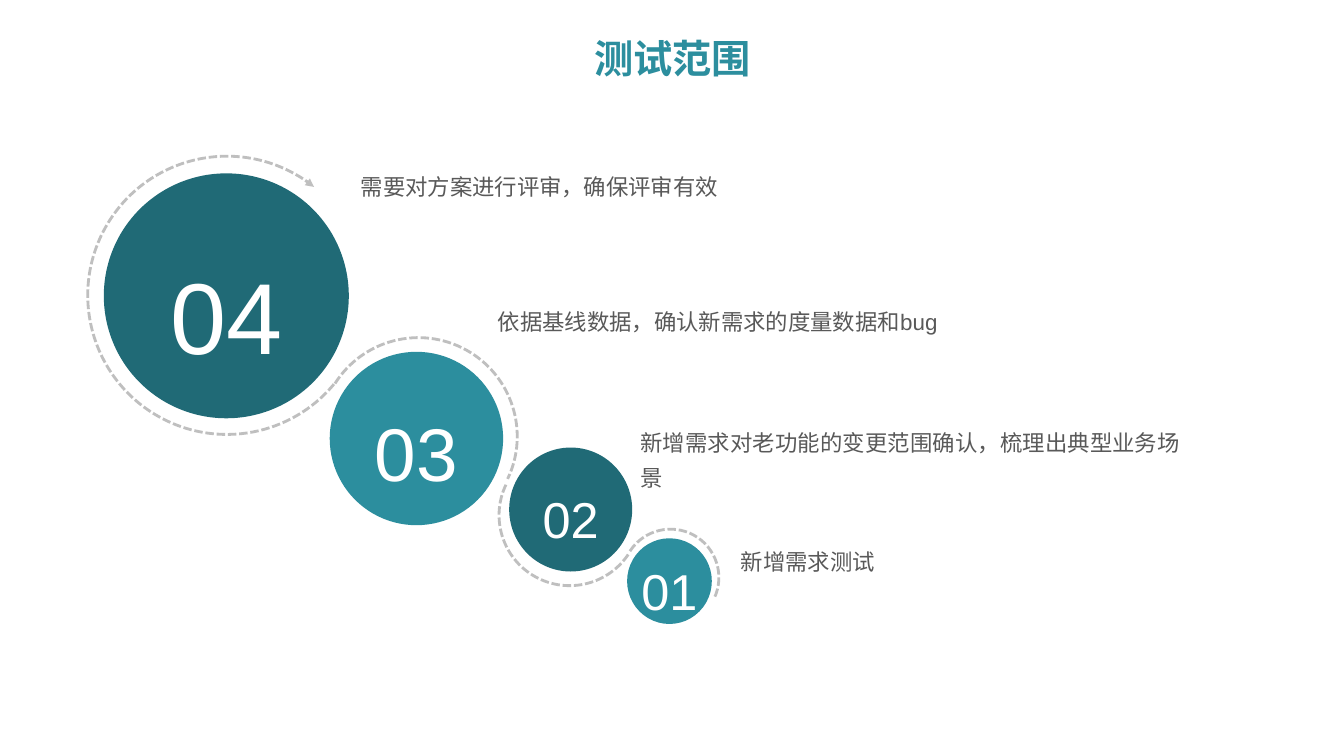
from dataclasses import dataclass
from math import ceil, cos, floor, radians, sin, tan

from lxml import etree
from pptx import Presentation
from pptx.dml.color import RGBColor
from pptx.enum.dml import MSO_LINE
from pptx.enum.shapes import MSO_SHAPE
from pptx.enum.text import MSO_ANCHOR, MSO_AUTO_SIZE, PP_ALIGN
from pptx.oxml.ns import qn
from pptx.util import Inches, Pt

OVAL, RECT = MSO_SHAPE.OVAL, MSO_SHAPE.RECTANGLE
DASH = MSO_LINE.SQUARE_DOT
MIDDLE, TOP = MSO_ANCHOR.MIDDLE, MSO_ANCHOR.TOP
CENTER, JUSTIFY = PP_ALIGN.CENTER, PP_ALIGN.JUSTIFY
GROW, FIXED = MSO_AUTO_SIZE.SHAPE_TO_FIT_TEXT, MSO_AUTO_SIZE.NONE

COLORS = {"dark": "206A76", "teal": "2C8E9E", "gray": "BFBFBF",
          "text": "595959", "white": "FFFFFF"}
TILT = 29.1  # rotation of every arc, in degrees
PANEL = (0, 0.98, 13.33, 6.52)

Box = tuple[float, float, float, float]
Point = tuple[float, float]


@dataclass
class Disc:
    label: str
    box: Box
    color: str
    size: float


@dataclass
class Arc:
    """A circle's part; angles are in degrees before the tilt."""
    center: Point
    radius: float
    start: float
    end: float
    arrow: bool = False


@dataclass
class Note:
    text: str
    box: Box


ARCS = [
    Arc((2.25, 2.93), 1.38, 10.6, 279.7, arrow=True),
    Arc((4.15, 4.33), 0.98, 183.3, 356.4),
    Arc((5.65, 5.11), 0.70, 176.4, 3.4),
    Arc((6.65, 5.73), 0.48, 183.9, 356.4),
]
DISCS = [
    Disc("04", (1.03, 1.72, 2.43, 2.43), "dark", 72),
    Disc("03", (3.27, 3.49, 1.72, 1.72), "teal", 53.3),
    Disc("02", (5.05, 4.44, 1.22, 1.23), "dark", 36),
    Disc("01", (6.22, 5.34, 0.84, 0.85), "teal", 36),
]
NOTES = [
    Note("需要对方案进行评审，确保评审有效", (3.48, 1.59, 6.12, 0.41)),
    Note("依据基线数据，确认新需求的度量数据和bug", (4.84, 2.93, 5.74, 0.45)),
    Note("新增需求对老功能的变更范围确认，梳理出典型业务场景", (6.25, 4.13, 5.56, 0.8)),
    Note("新增需求测试", (7.25, 5.31, 5.61, 0.45)),
]
FRAMES = {
    "disc": {"word_wrap": True, "vertical_anchor": MIDDLE, "margin_left": 0,
             "margin_top": 0, "margin_right": 0, "margin_bottom": 0},
    "note": {"word_wrap": True, "vertical_anchor": TOP, "auto_size": GROW},
    "title": {"word_wrap": True, "vertical_anchor": MIDDLE, "auto_size": FIXED},
}
LINES = {
    "disc": {"alignment": CENTER, "line_spacing": 1.3},
    "note": {"alignment": JUSTIFY, "line_spacing": 1.3},
    "title": {"alignment": CENTER, "line_spacing": 0.9},
}
FONTS = {
    "disc": {"name": "Arial"},
    "note": {"name": "Arial", "size": Pt(16)},
    "title": {"name": "Montserrat", "size": Pt(28), "bold": True},
}


def shade(name: str) -> RGBColor:
    return RGBColor.from_string(COLORS[name])


def assign(target, values: dict) -> None:
    for key, value in values.items():
        setattr(target, key, value)


def write(shape, text: str, style: str, color: str, **font) -> None:
    """Put one styled paragraph into a shape."""
    frame = shape.text_frame
    line = frame.paragraphs[0]
    run = line.add_run()
    run.text = text
    assign(frame, FRAMES[style])
    assign(line, LINES[style])
    assign(run.font, FONTS[style] | font)
    run.font.color.rgb = shade(color)


def add_solid(shapes, kind, box: Box, color: str):
    shape = shapes.add_shape(kind, *map(Inches, box))
    shape.shadow.inherit = False
    shape.fill.solid()
    shape.fill.fore_color.rgb = shade(color)
    shape.line.fill.background()
    return shape


def draw_panel(shapes) -> None:
    panel = add_solid(shapes, RECT, PANEL, "white")
    tone = panel.fill._xPr.find(".//" + qn("a:srgbClr"))
    etree.SubElement(tone, qn("a:alpha"), val="92000")


def get_knots(arc: Arc) -> list[float]:
    """Split an arc at each quarter turn; angles in radians."""
    low, high = sorted((arc.start, arc.end))
    turns = [90 * i for i in range(ceil(low / 90), floor(high / 90) + 1)]
    knots = sorted({low, *turns, high}, reverse=arc.start > arc.end)
    return [radians(knot) for knot in knots]


def bend(shape, knots: list[float], size: int, left: int, top: int) -> None:
    """Turn each straight segment into a circular curve."""
    lines = list(shape._element.iter(qn("a:lnTo")))
    for line, a, b in zip(lines, knots, knots[1:]):
        pull = 4 / 3 * tan((b - a) / 4)
        grips = [(cos(a) - pull * sin(a), sin(a) + pull * cos(a)),
                 (cos(b) + pull * sin(b), sin(b) - pull * cos(b))]
        line.tag = qn("a:cubicBezTo")
        for i, (x, y) in enumerate(grips):
            spot = line.makeelement(qn("a:pt"), {"x": str(round(size * x - left)),
                                                 "y": str(round(size * y - top))})
            line.insert(i, spot)


def draw_arc(shapes, arc: Arc):
    knots, size = get_knots(arc), Inches(arc.radius)
    points = [(round(size * cos(a)), round(size * sin(a))) for a in knots]
    pen = shapes.build_freeform(*points[0])
    pen.add_line_segments(points[1:], close=False)
    shape = pen.convert_to_shape()
    bend(shape, knots, size, shape.left, shape.top)

    x, y = shape.left + shape.width / 2, shape.top + shape.height / 2
    tilt = radians(TILT)
    mid_x = Inches(arc.center[0]) + x * cos(tilt) - y * sin(tilt)
    mid_y = Inches(arc.center[1]) + x * sin(tilt) + y * cos(tilt)
    assign(shape, {"left": round(mid_x - shape.width / 2),
                   "top": round(mid_y - shape.height / 2), "rotation": TILT})

    shape.shadow.inherit = False
    shape.fill.background()
    shape.line.color.rgb = shade("gray")
    assign(shape.line, {"width": Pt(2), "dash_style": DASH})
    if arc.arrow:
        line = shape.line._get_or_add_ln()
        etree.SubElement(line, qn("a:tailEnd"), type="triangle")
    return shape


def draw_disc(shapes, disc: Disc) -> None:
    shape = add_solid(shapes, OVAL, disc.box, disc.color)
    write(shape, disc.label, "disc", "white", size=Pt(disc.size))


def draw_note(shapes, note: Note, style: str = "note", color: str = "text") -> None:
    box = shapes.add_textbox(*map(Inches, note.box))
    write(box, note.text, style, color)


def main() -> None:
    deck = Presentation()
    assign(deck, {"slide_width": Inches(13.33), "slide_height": Inches(7.5)})
    shapes = deck.slides.add_slide(deck.slide_layouts[6]).shapes
    draw_panel(shapes)
    shapes.add_group_shape([draw_arc(shapes, arc) for arc in ARCS])
    for disc in DISCS:
        draw_disc(shapes, disc)
    for note in NOTES:
        draw_note(shapes, note)
    draw_note(shapes, Note("测试范围", (0.92, 0.23, 11.5, 0.75)), "title", "teal")
    deck.save("out.pptx")


if __name__ == "__main__":
    main()
